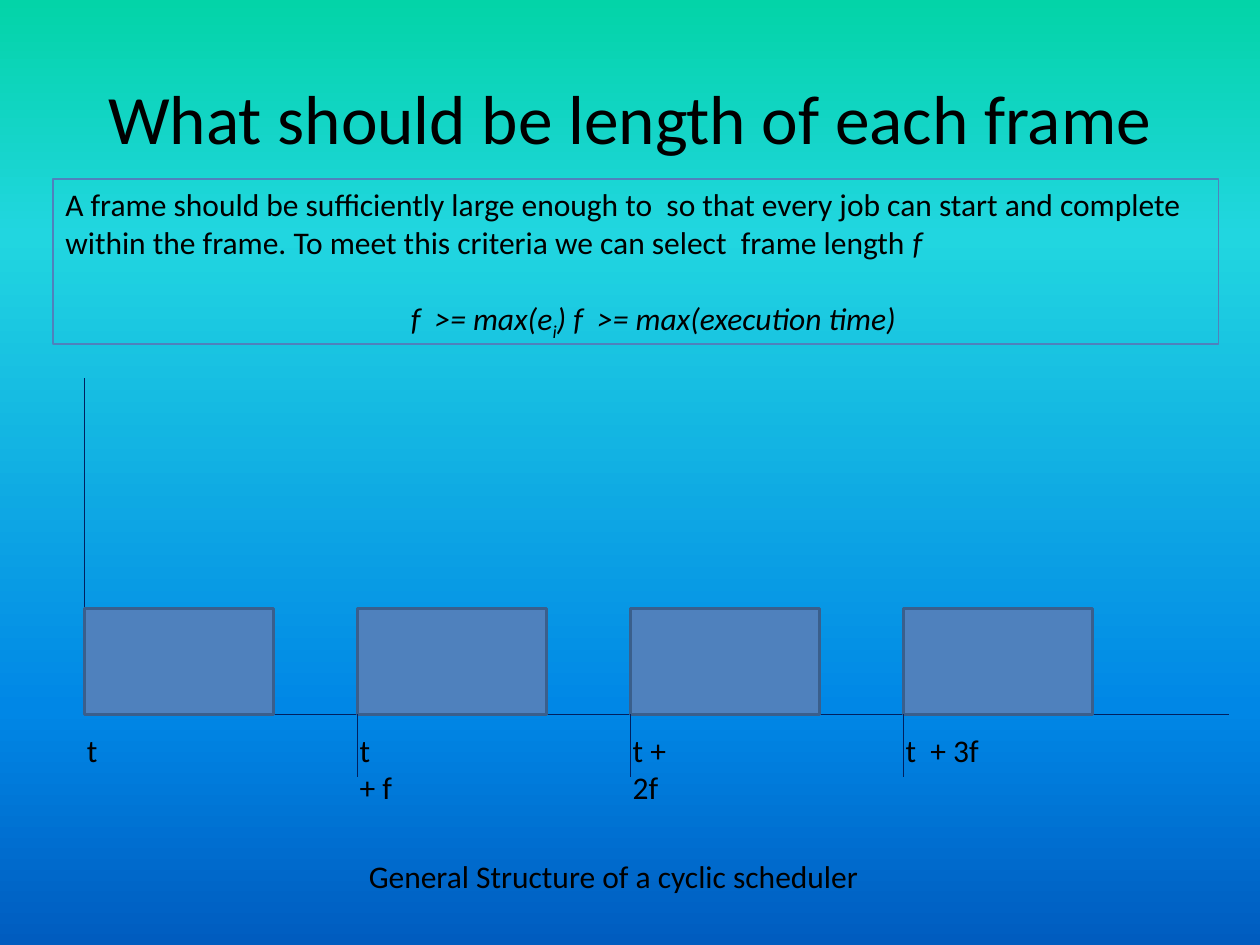
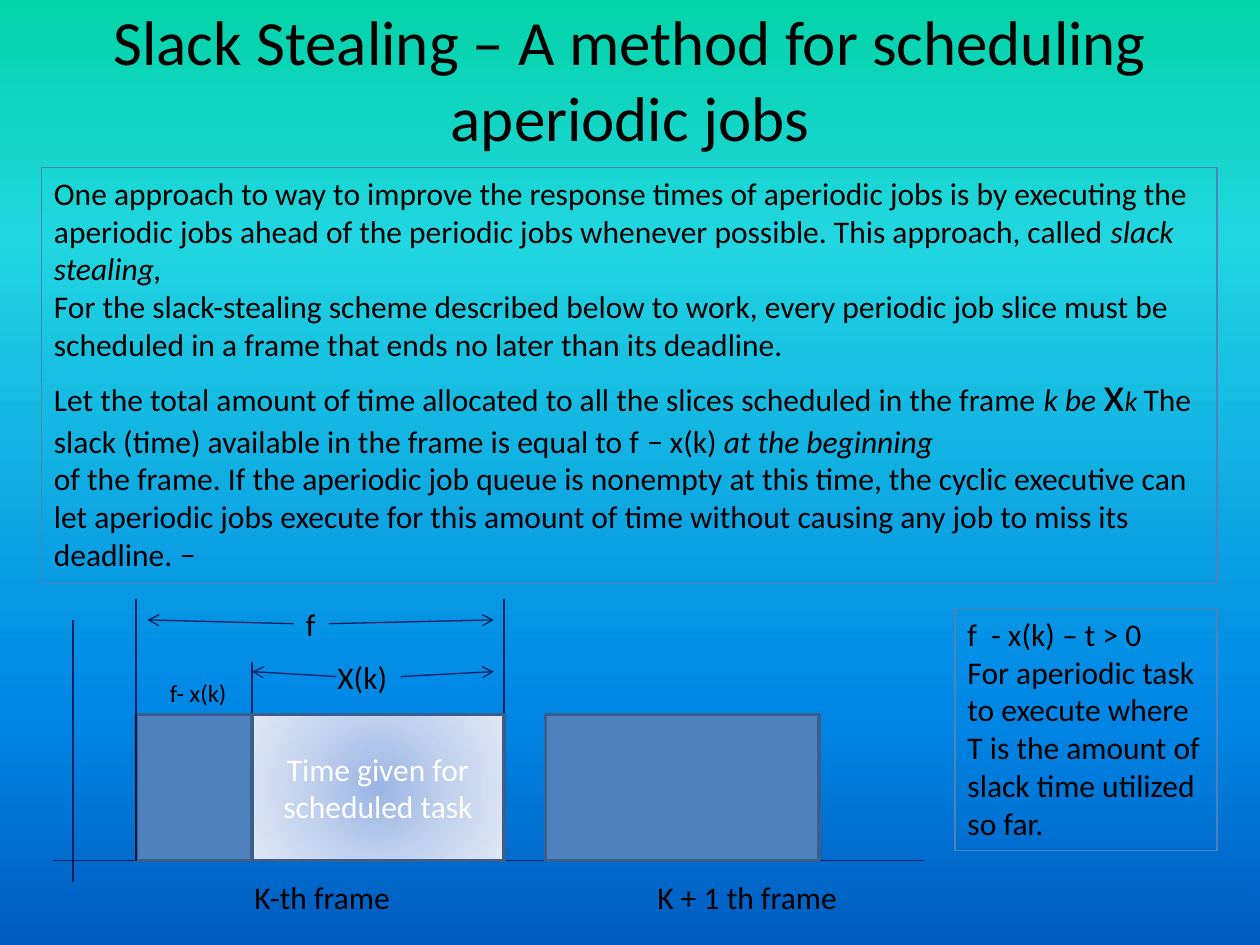
from lxml import etree
from pptx import Presentation
from pptx import util as u
from pptx.dml.color import RGBColor
from pptx.enum import shapes, text
from pptx.oxml.ns import qn

COLORS = {
    "ink": "000000",
    "paper": "FFFFFF",
    "axis": "002060",
    "frame": "4F81BD",
    "frame_edge": "3A5F8C",
}
SKY = [(0, "03D4A8"), (25, "21D6E0"), (75, "0087E6"), (100, "005CBF")]
GLOW = [(0, "9AB5E4"), (50, "C2D1ED"), (100, "E1E8F5")]
ITALIC = {"italic": True}
FRAME = {"fill": "frame", "edge": "frame_edge", "edge_width": 2}
NOTE = {"edge": "frame"}


def draw_box(slide, place, paragraphs=(), fill=None, edge=None, edge_width=0.75,
             size=18, ink="ink", wrap=True, align=None):
    area = [u.Inches(length) for length in place]
    if edge:
        box = slide.shapes.add_shape(shapes.MSO_SHAPE.RECTANGLE, *area)
        box.shadow.inherit = False
        box.line.color.rgb = RGBColor.from_string(COLORS[edge])
        box.line.width = u.Pt(edge_width)
        if fill:
            box.fill.solid()
            box.fill.fore_color.rgb = RGBColor.from_string(COLORS[fill])
        else:
            box.fill.background()
    else:
        box = slide.shapes.add_textbox(*area)
    if not paragraphs:
        return box
    frame = box.text_frame
    layout = {
        "word_wrap": wrap,
        "vertical_anchor": text.MSO_ANCHOR.TOP,
        "auto_size": text.MSO_AUTO_SIZE.SHAPE_TO_FIT_TEXT,
    }
    for name, value in layout.items():
        setattr(frame, name, value)
    for index, runs in enumerate(paragraphs):
        paragraph = frame.add_paragraph() if index else frame.paragraphs[0]
        paragraph.alignment = align or text.PP_ALIGN.LEFT
        for words, changes in runs:
            run = paragraph.add_run()
            run.text = words
            for name, value in {"name": "Calibri", "size": u.Pt(size), **changes}.items():
                setattr(run.font, name, value)
            run.font.color.rgb = RGBColor.from_string(COLORS[ink])
    return box


def draw_line(slide, start, end, width=0.75, arrow=False):
    ends = [u.Inches(length) for length in (*start, *end)]
    line = slide.shapes.add_connector(shapes.MSO_CONNECTOR.STRAIGHT, *ends)
    line.line.color.rgb = RGBColor.from_string(COLORS["axis"])
    line.line.width = u.Pt(width)
    if arrow:
        etree.SubElement(line.line._get_or_add_ln(), qn("a:tailEnd"), type="arrow")
    etree.SubElement(line.element.spPr, qn("a:effectLst"))


prs = Presentation()
prs.slide_width, prs.slide_height = u.Inches(10), u.Inches(7.5)
master = prs.slide_master

titles = [
    ("What should be length of each frame", (0.5, 0.3, 9, 1.25), 39.6),
    ("Slack Stealing – A method for scheduling aperiodic jobs", (0.5, 0.08, 9, 1.08), 36),
]
slides = []
for words, place, size in titles:
    slide = prs.slides.add_slide(prs.slide_layouts[5])
    title = slide.shapes.title
    for name, length in zip(("left", "top", "width", "height"), place):
        setattr(title, name, u.Inches(length))
    title.text_frame.text = words
    title.text_frame.auto_size = text.MSO_AUTO_SIZE.NONE
    title.text_frame.vertical_anchor = text.MSO_ANCHOR.MIDDLE
    heading = title.text_frame.paragraphs[0]
    heading.alignment = text.PP_ALIGN.CENTER
    for name, value in {"name": "Calibri", "size": u.Pt(size)}.items():
        setattr(heading.runs[0].font, name, value)
    heading.runs[0].font.color.rgb = RGBColor.from_string(COLORS["ink"])
    slides.append(slide)
cyclic, slack = slides

criteria = draw_box(cyclic, (0.42, 1.42, 9.25, 1.31), [
    [("A frame should be sufficiently large enough to  so that every job can start and complete "
      "within the frame. To meet this criteria we can select  frame length ", {}), ("f", ITALIC)],
    [("f  >= max(e", ITALIC), ("i", ITALIC), (") f  >= max(execution time)", ITALIC)],
], **NOTE)
formula = criteria.text_frame.paragraphs[1]
formula.alignment = text.PP_ALIGN.CENTER
formula.space_before = u.Pt(22)
formula._p.get_or_add_pPr().set("marL", str(u.Inches(0.28)))
formula.runs[1]._r.get_or_add_rPr().set("baseline", "-25000")

axis_left, axis_y = 0.67, 5.67
draw_line(cyclic, (axis_left, 3), (axis_left, axis_y))
draw_line(cyclic, (axis_left, axis_y), (9.75, axis_y), width=1)
for index, start_time in enumerate(["t", "t + f", "t + 2f", "t  + 3f"]):
    left = axis_left + index * 6.5 / 3
    draw_box(cyclic, (left, 4.83, 1.5, 0.84), **FRAME)
    draw_box(cyclic, (left - 0.08, 5.75, 0.29 + 0.17 * index, 0.4), [[(start_time, {})]], wrap=False)
    if index:
        draw_line(cyclic, (left, axis_y), (left, 6.17))
draw_box(cyclic, (1.33, 6.75, 7.08, 0.42), [[("General Structure of a cyclic scheduler", {})]],
         align=text.PP_ALIGN.CENTER)

draw_box(slack, (0.33, 1.33, 9.33, 3.3), [
    [("One approach to way to improve the response times of aperiodic jobs is by executing the "
      "aperiodic jobs ahead of the periodic jobs whenever possible. This approach, called ", {}),
     ("slack stealing,", ITALIC)],
    [("For the slack-stealing scheme described below to work, every periodic job slice must be "
      "scheduled in a frame that ends no later than its deadline.", {})],
    [("Let the total amount of time allocated to all the slices scheduled in the frame ", {}),
     ("k be ", ITALIC), ("x", {"size": u.Pt(28)}), ("k ", {"size": u.Pt(16), **ITALIC}),
     ("The slack (time) available in the frame is equal to f ", {}), ("− ", ITALIC),
     ("x(k) ", {}), ("at the beginning", ITALIC)],
    [("of the frame. If the aperiodic job queue is nonempty at this time, the cyclic executive can "
      "let aperiodic jobs execute for this amount of time without causing any job to miss its "
      "deadline.", {}), (" −", ITALIC)],
], **NOTE)

frame_start, slice_start, frame_end = 1.08, 2, 4
frame_top, base_y = 5.67, 6.83
frame_height = base_y - frame_top
draw_line(slack, (0.58, 4.92), (0.58, 7))
draw_line(slack, (0.42, base_y), (7.33, base_y))
for left, width in [(frame_start, frame_end - frame_start), (4.33, 2.17)]:
    draw_box(slack, (left, frame_top, width, frame_height), **FRAME)
for x, top in [(slice_start, 5.25), (frame_end, 4.75), (frame_start, 4.75)]:
    draw_line(slack, (x, top), (x, base_y))

scheduled = draw_box(slack, (slice_start, frame_top, frame_end - slice_start, frame_height),
                     [[("Time given for scheduled task", {})]], ink="paper",
                     align=text.PP_ALIGN.CENTER, **FRAME)
scheduled.text_frame.auto_size = text.MSO_AUTO_SIZE.NONE
scheduled.text_frame.vertical_anchor = text.MSO_ANCHOR.MIDDLE

for words, place, size in [
    ("K-th frame", (1.92, 6.92, 1.29, 0.4), 18),
    ("K + 1 th frame", (5.12, 6.92, 1.64, 0.4), 18),
    ("X(k)", (2.58, 5.17, 0.6, 0.4), 18),
    ("f", (2.33, 4.75, 0.28, 0.4), 18),
    ("f- x(k)", (1.25, 5.33, 0.66, 0.34), 14),
]:
    draw_box(slack, place, [[(words, {})]], size=size, wrap=False)
for start, end in [
    ((3.18, 5.37), (3.92, 5.33)),
    ((2.67, 5.37), (slice_start, 5.33)),
    ((2.61, 4.95), (3.92, 4.92)),
    ((2.33, 4.95), (1.17, 4.92)),
]:
    draw_line(slack, start, end, arrow=True)
draw_box(slack, (7.58, 4.83, 2.08, 1.92), [
    [("f  - x(k) – t > 0", {})],
    [("For aperiodic task to execute where", {})],
    [("T is the amount of slack time utilized so far.", {})],
], **NOTE)

for fill, element, stops in [
    (master.background.fill, master.element, SKY),
    (scheduled.fill, scheduled.element, GLOW),
]:
    fill.gradient()
    fill.gradient_angle = 270
    stop_list = element.find(".//" + qn("a:gsLst"))
    for old_stop in list(stop_list):
        stop_list.remove(old_stop)
    for position, color in stops:
        stop = etree.SubElement(stop_list, qn("a:gs"), pos=str(position * 1000))
        etree.SubElement(stop, qn("a:srgbClr"), val=color)

glow = scheduled.element.find(".//" + qn("a:gradFill"))
glow.remove(glow.find(qn("a:lin")))
circle = etree.SubElement(glow, qn("a:path"), path="circle")
etree.SubElement(circle, qn("a:fillToRect"), {side: "50000" for side in "ltrb"})

prs.save("out.pptx")
